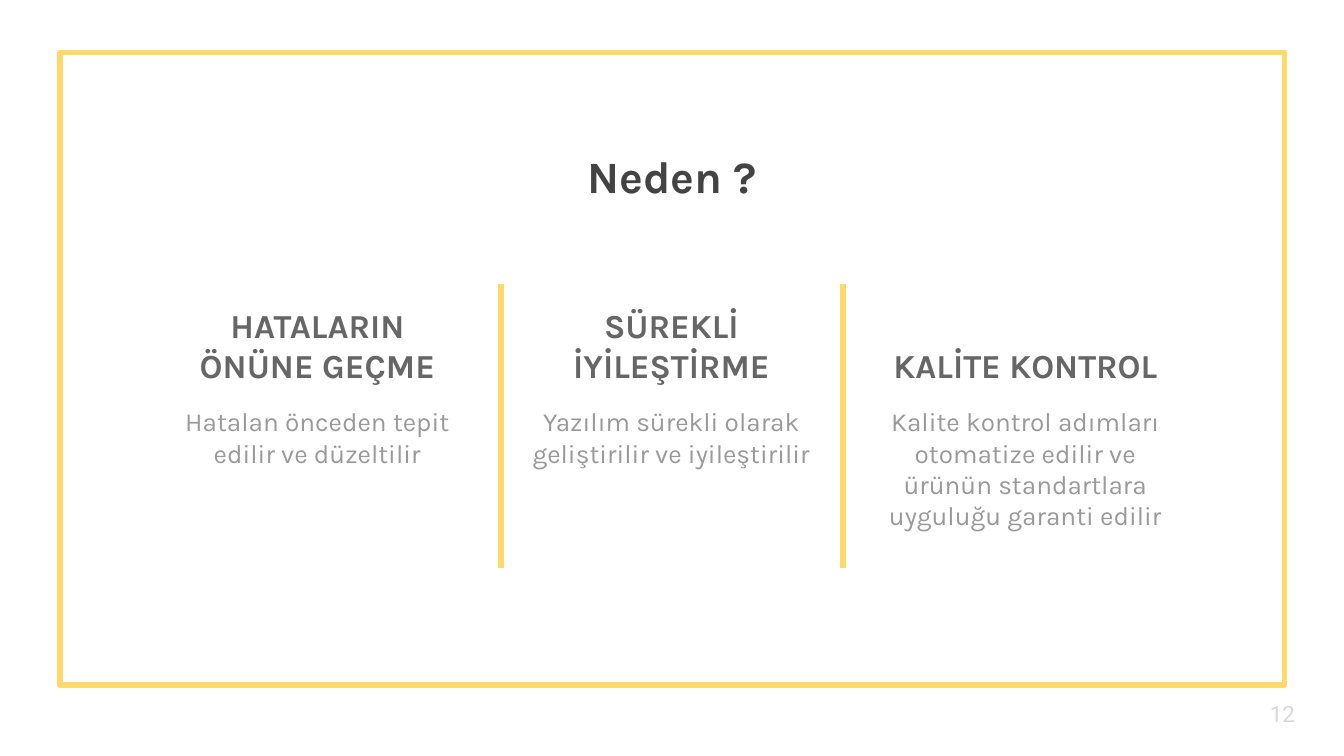
import pptx
import pptx.util
import pptx.dml.color
import pptx.enum.shapes
import pptx.enum.text
import pptx.oxml.ns
import lxml.etree

Cm = pptx.util.Cm
Pt = pptx.util.Pt
Align = pptx.enum.text.PP_ALIGN
Anchor = pptx.enum.text.MSO_ANCHOR

# Content
TITLE = "Neden ?"
PAGE = "12"
# heading, body, body width in cm
COLUMNS = [
    ("HATALARIN ÖNÜNE GEÇME", "Hatalan önceden tepit edilir ve düzeltilir", 6.3),
    ("SÜREKLİ İYİLEŞTİRME", "Yazılım sürekli olarak geliştirilir ve iyileştirilir", 5.87),
    ("KALİTE KONTROL",
     "Kalite kontrol adımları otomatize edilir ve ürünün standartlara uyguluğu garanti edilir", 5.87),
]
COLORS = {"gold": "FFD969", "title": "434343", "head": "666666",
          "body": "999999", "page": "D9D9D9"}

# Layout in cm
WIDTH, HEIGHT = 25.4, 14.29
PITCH, FIRST = 6.69, 6.0
HEAD_W = 5.87
RULE_GAP = 3.23  # from the slide's middle to each divider


def color(name):
    return pptx.dml.color.RGBColor.from_string(COLORS[name])


def stroke(line):
    line.color.rgb = color("gold")
    line.width = Pt(3)


def add_text(slide, text, box, size, tint, bold=False, font="Karla",
             align=Align.CENTER, anchor=Anchor.TOP):
    frame = slide.shapes.add_textbox(*map(Cm, box)).text_frame
    frame.word_wrap = True
    frame.vertical_anchor = anchor
    frame.margin_left = frame.margin_right = Cm(0.25)
    frame.margin_top = frame.margin_bottom = Cm(0.25)
    para = frame.paragraphs[0]
    para.text = text
    para.alignment = align
    para.font.name = font
    para.font.size = Pt(size)
    para.font.bold = bold
    para.font.color.rgb = color(tint)


def add_rule(slide, x):
    rule = slide.shapes.add_connector(
        pptx.enum.shapes.MSO_CONNECTOR.STRAIGHT, Cm(x), Cm(5.36), Cm(x), Cm(10.74))
    stroke(rule.line)
    lxml.etree.SubElement(rule._element.spPr, pptx.oxml.ns.qn("a:effectLst"))


def main():
    deck = pptx.Presentation()
    deck.slide_width, deck.slide_height = Cm(WIDTH), Cm(HEIGHT)
    slide = deck.slides.add_slide(deck.slide_layouts[6])

    # Frame with rounded corners on its line
    frame = slide.shapes.add_shape(
        pptx.enum.shapes.MSO_SHAPE.RECTANGLE, Cm(1.14), Cm(0.99), Cm(23.14), Cm(11.96))
    frame.shadow.inherit = False
    frame.fill.background()
    stroke(frame.line)
    lxml.etree.SubElement(frame.line._get_or_add_ln(), pptx.oxml.ns.qn("a:round"))

    # Title and page number
    add_text(slide, TITLE, (0, 2.57, WIDTH, 1.35), 24, "title", bold=True)
    add_text(slide, PAGE, (23.75, 12.95, 1.52, 1.09), 12, "page", font="Roboto",
             align=Align.LEFT, anchor=Anchor.MIDDLE)

    # Dividers
    for side in (-1, 1):
        add_rule(slide, WIDTH / 2 + side * RULE_GAP)

    # Columns
    for i, (head, body, wide) in enumerate(COLUMNS):
        mid = FIRST + i * PITCH
        add_text(slide, head, (mid - HEAD_W / 2, 5.74, HEAD_W, 1.8), 18, "head",
                 bold=True, anchor=Anchor.BOTTOM)
        add_text(slide, body, (mid - wide / 2, 7.42, wide, 4.32), 14, "body")

    deck.save("out.pptx")


if __name__ == "__main__":
    main()
